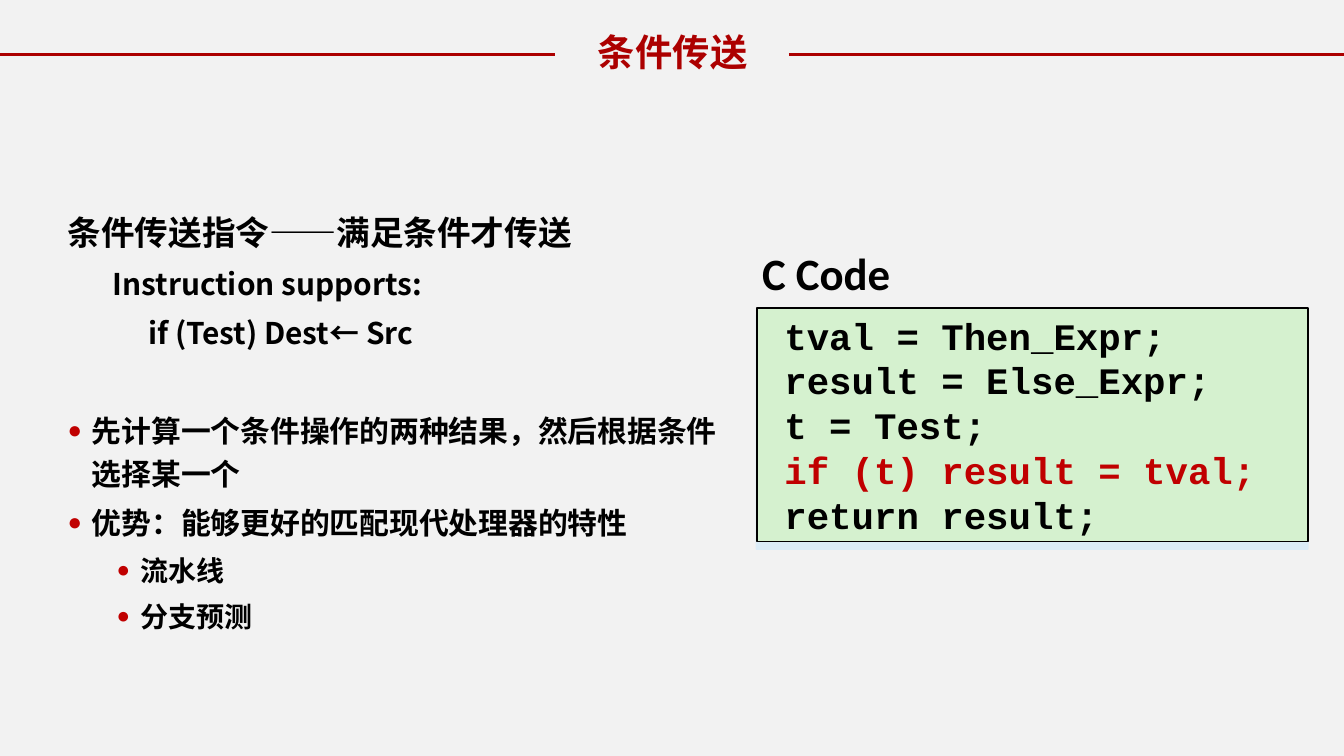
from dataclasses import dataclass

from lxml.etree import SubElement
from pptx import Presentation
from pptx.dml.color import RGBColor
from pptx.enum.shapes import MSO_CONNECTOR as Connector, MSO_SHAPE as Shape
from pptx.enum.text import MSO_ANCHOR as Anchor, PP_ALIGN as Align
from pptx.oxml.ns import qn
from pptx.util import Inches, Pt

# The grid has square cells, a tenth of an inch wide
COLUMNS, ROWS = 100, 56.25


def cells(count):
    return Inches(count / 10)


@dataclass(frozen=True)
class Theme:
    background: str = "F2F2F2"
    title: str = "AC0000"
    ink: str = "000000"
    accent: str = "C00000"
    panel: str = "D5F1CF"
    panel_shadow: str = "C6E7FC"
    chinese: str = "Noto Sans CJK SC"
    latin: str = "Calibri"
    mono: str = "Courier New"
    bullet: str = "Arial"
    title_size: int = 20
    lead_size: int = 18
    body_size: int = 16
    detail_size: int = 15
    label_size: int = 24
    code_size: int = 20


class SlideBuilder:
    def __init__(self, page, theme):
        self.page = page
        self.theme = theme
        fill = page.background.fill
        fill.solid()
        fill.fore_color.rgb = RGBColor.from_string(theme.background)

    def rule(self, start, end, row):
        line = self.page.shapes.add_connector(
            Connector.STRAIGHT, cells(start), cells(row), cells(end), cells(row))
        line.line.color.rgb = RGBColor.from_string(self.theme.title)
        line.line.width = Pt(2)
        SubElement(line._element.spPr, qn("a:effectLst"))

    def text_box(self, left, top, width, height, margin=None):
        box = self.page.shapes.add_textbox(*map(cells, (left, top, width, height)))
        box.text_frame.word_wrap = True
        if margin is not None:
            self.inset(box.text_frame, margin)
        return box.text_frame

    def code_panel(self, left, top, width, height, margin):
        panel = self.page.shapes.add_shape(
            Shape.RECTANGLE, *map(cells, (left, top, width, height)))
        panel.fill.solid()
        panel.fill.fore_color.rgb = RGBColor.from_string(self.theme.panel)
        panel.line.color.rgb = RGBColor.from_string(self.theme.ink)
        panel.line.width = Pt(1)
        # Solid shadow straight below the panel
        panel.shadow.inherit = False
        effects = panel._element.spPr.find(qn("a:effectLst"))
        shadow = SubElement(effects, qn("a:outerShdw"), blurRad="0",
                            dist=str(Pt(4)), dir="5400000", rotWithShape="0")
        color = SubElement(shadow, qn("a:srgbClr"), val=self.theme.panel_shadow)
        SubElement(color, qn("a:alpha"), val="50000")
        frame = panel.text_frame
        frame.word_wrap = True
        frame.vertical_anchor = Anchor.MIDDLE
        self.inset(frame, margin)
        return frame

    def inset(self, frame, margin):
        frame.margin_left = frame.margin_right = cells(margin)
        frame.margin_top = frame.margin_bottom = cells(margin)

    def paragraph(self, frame, text, size, font, color=None, align=Align.LEFT,
                  indent=0, hanging=0, before=0, spacing=1.0, bullet=False):
        first = frame.paragraphs[0]
        para = first if not first.runs else frame.add_paragraph()
        para.alignment = align
        para.line_spacing = spacing
        para.space_before = Pt(before)
        properties = para._p.get_or_add_pPr()
        properties.set("marL", str(cells(indent)))
        properties.set("indent", str(-cells(hanging)))
        if bullet:
            tint = SubElement(properties, qn("a:buClr"))
            SubElement(tint, qn("a:srgbClr"), val=self.theme.accent)
            SubElement(properties, qn("a:buSzPct"), val="80000")
            SubElement(properties, qn("a:buFont"), typeface=self.theme.bullet)
            SubElement(properties, qn("a:buChar"), char="●")
        span = para.add_run()
        span.text = text
        span.font.size = Pt(size)
        span.font.bold = True
        span.font.name = font
        span.font.color.rgb = RGBColor.from_string(color or self.theme.ink)
        SubElement(span._r.get_or_add_rPr(), qn("a:ea"), typeface=font)


def main():
    theme = Theme()
    deck = Presentation()
    deck.slide_width, deck.slide_height = cells(COLUMNS), cells(ROWS)
    slide = SlideBuilder(deck.slides.add_slide(deck.slide_layouts[6]), theme)

    # Title between two rules
    rule_length = 41.3
    for start in (0, COLUMNS - rule_length):
        slide.rule(start, start + rule_length, row=4.05)
    title = slide.text_box(40.6, 1.7, 18.9, 4.4)
    slide.paragraph(title, "条件传送", theme.title_size, theme.chinese,
                    theme.title, Align.CENTER)

    # Explanation: text, size, indent, hanging, space before, bullet
    gap = 3.2
    section_gap = 29.6
    body = slide.text_box(2.7, 14.7, 53.5, 35.4)
    for text, size, indent, hanging, before, bullet in (
        ("条件传送指令——满足条件才传送", theme.lead_size, 1.35, 0, 0, False),
        ("Instruction supports:", theme.body_size, 4.7, 0, gap, False),
        ("if (Test) Dest← Src", theme.body_size, 7.35, 0, gap, False),
        ("先计算一个条件操作的两种结果，然后根据条件选择某一个",
         theme.body_size, 3.15, 1.8, section_gap, True),
        ("优势：能够更好的匹配现代处理器的特性",
         theme.body_size, 3.15, 1.8, gap, True),
        ("流水线", theme.detail_size, 6.8, 1.8, gap, True),
        ("分支预测", theme.detail_size, 6.8, 1.8, gap, True),
    ):
        slide.paragraph(body, text, size, theme.chinese, indent=indent,
                        hanging=hanging, before=before, spacing=1.2,
                        bullet=bullet)

    # Code sample with its label
    code_left, margin = 56.3, 0.4
    label = slide.text_box(code_left, 17.9, 12.6, 4.9, margin)
    slide.paragraph(label, "C Code", theme.label_size, theme.latin)
    code = slide.code_panel(code_left, 22.9, 41, 17.4, margin)
    for line, color in (
        (" tval = Then_Expr;", theme.ink),
        (" result = Else_Expr;", theme.ink),
        (" t = Test;", theme.ink),
        (" if (t) result = tval;", theme.accent),
        (" return result;", theme.ink),
    ):
        slide.paragraph(code, line, theme.code_size, theme.mono, color)

    deck.save("out.pptx")


if __name__ == "__main__":
    main()
